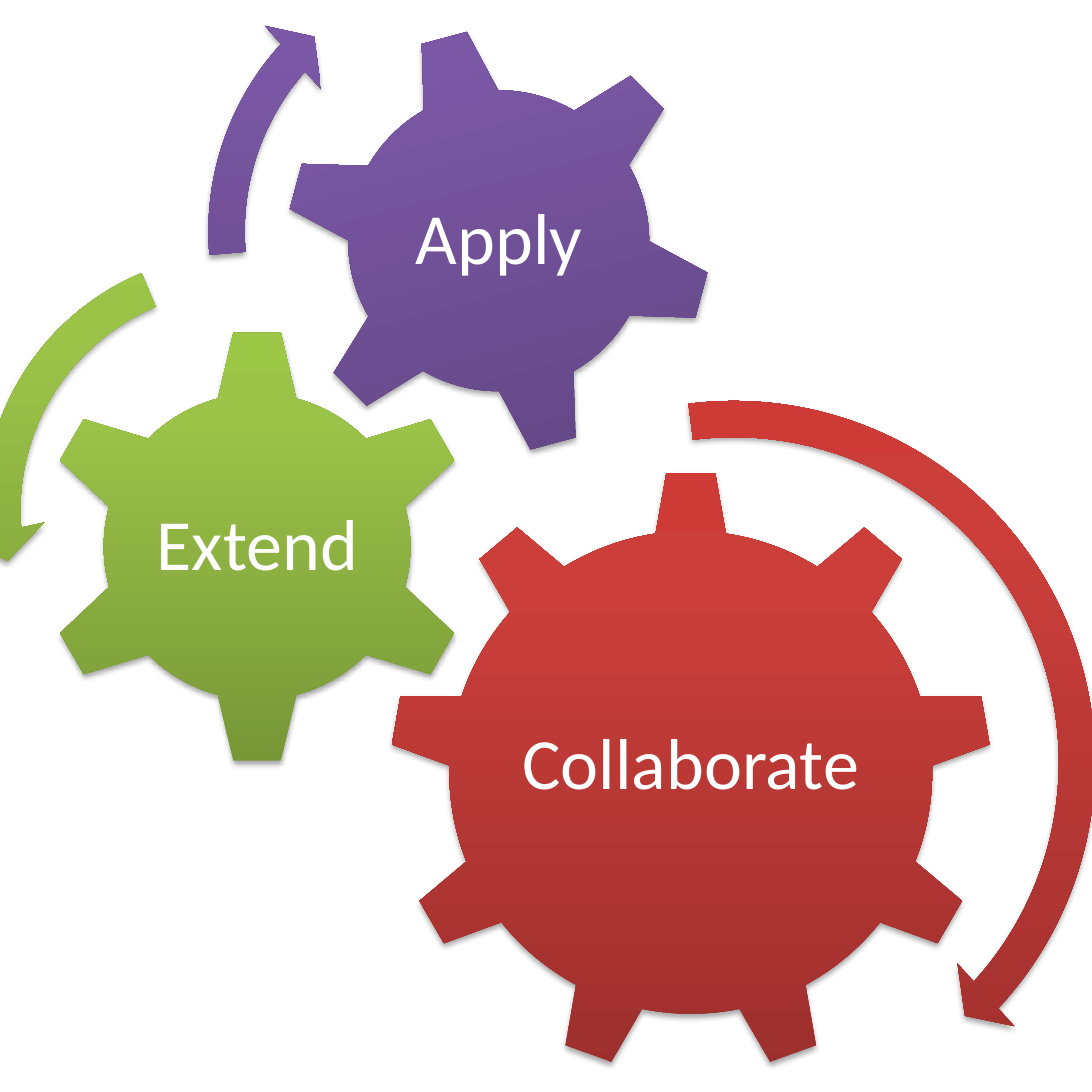
from copy import deepcopy

from lxml.etree import SubElement
from pptx import Presentation
from pptx.dml.color import RGBColor
from pptx.enum.shapes import MSO_SHAPE as Preset
from pptx.enum.text import MSO_ANCHOR as Anchor, PP_ALIGN as Align
from pptx.oxml.ns import qn
from pptx.util import Cm, Pt

# Gradient stops run from the bottom of a shape to its top
COLORS = {
    "red": ("9C2F2D", "CB3E3A", "CE3B37"),
    "green": ("779737", "9BC348", "9DC746"),
    "purple": ("5F4480", "7B58A6", "7C57A8"),
    "label": "FFFFFF",
    "shadow": "000000",
}
STOP_POSITIONS = (0, 0.8, 1)


class GearSlide:
    font_name = "Calibri"
    font_size = Pt(38)
    inset = Cm(0.13)

    def __init__(self, slide):
        self.slide = slide

    def add_piece(self, preset, left, top, size, color, rotation=0,
                  adjustments=()):
        """Add a square preset shape with the gradient and soft shadow."""
        shape = self.slide.shapes.add_shape(
            preset, Cm(left), Cm(top), Cm(size), Cm(size))
        shape.rotation = rotation
        for index, value in enumerate(adjustments):
            shape.adjustments[index] = value
        shape.line.fill.background()
        self.add_gradient(shape, COLORS[color])
        self.add_shadow(shape)

    def add_gradient(self, shape, hex_stops):
        shape.fill.gradient()
        shape.fill.gradient_angle = 90
        stop_list = shape.element.spPr.find(f".//{qn('a:gsLst')}")
        stop_list.append(deepcopy(stop_list[-1]))
        stops = shape.fill.gradient_stops
        for stop, position, color in zip(stops, STOP_POSITIONS, hex_stops):
            stop.position = position
            stop.color.rgb = RGBColor.from_string(color)

    def add_shadow(self, shape):
        shape.shadow.inherit = False
        effects = shape.element.spPr.find(qn("a:effectLst"))
        outer = SubElement(effects, qn("a:outerShdw"), blurRad=str(Pt(3.1)),
                           dist=str(Pt(1.8)), dir="5400000", rotWithShape="0")
        color = SubElement(outer, qn("a:srgbClr"), val=COLORS["shadow"])
        SubElement(color, qn("a:alpha"), val="35000")

    def add_label(self, text, left, top, width, height):
        frame = self.slide.shapes.add_textbox(
            Cm(left), Cm(top), Cm(width), Cm(height)).text_frame
        frame.word_wrap = True
        frame.vertical_anchor = Anchor.MIDDLE
        frame.margin_left = frame.margin_right = self.inset
        frame.margin_top = frame.margin_bottom = self.inset
        paragraph = frame.paragraphs[0]
        paragraph.text = text
        paragraph.alignment = Align.CENTER
        paragraph.line_spacing = 0.9
        paragraph.space_after = Pt(13)
        paragraph.font.name = self.font_name
        paragraph.font.size = self.font_size
        paragraph.font.color.rgb = RGBColor.from_string(COLORS["label"])


presentation = Presentation()
presentation.slide_width = presentation.slide_height = Cm(20.32)
gears = GearSlide(presentation.slides.add_slide(presentation.slide_layouts[6]))

# Gears with their labels
gears.add_piece(Preset.GEAR_9, 7.24, 8.76, 11.23, "red")
gears.add_label("Collaborate", 9.5, 11.38, 6.71, 5.77)
gears.add_piece(Preset.GEAR_6, 0.71, 6.1, 8.15, "green")
gears.add_label("Extend", 2.77, 8.18, 4.04, 4.01)
gears.add_piece(Preset.GEAR_6, 5.28, 0.48, 8, "purple", rotation=345)
gears.add_label("Apply", 7.04, 2.24, 4.5, 4.5)

# Arrows showing the direction each gear turns
gears.add_piece(Preset.CIRCULAR_ARROW, 6.48, 7.01, 14.35, "red",
                adjustments=(0.047, 2.99, 25.61, 157.68, 0.055))
gears.add_piece(Preset.LEFT_CIRCULAR_ARROW, -0.74, 4.27, 10.44, "green",
                adjustments=(0.065, 4.3, 104.89, 148.38, 0.075))
gears.add_piece(Preset.CIRCULAR_ARROW, 3.43, -1.32, 11.25, "purple",
                adjustments=(0.06, 3.94, 133.14, 105.08, 0.07))

presentation.save("out.pptx")
